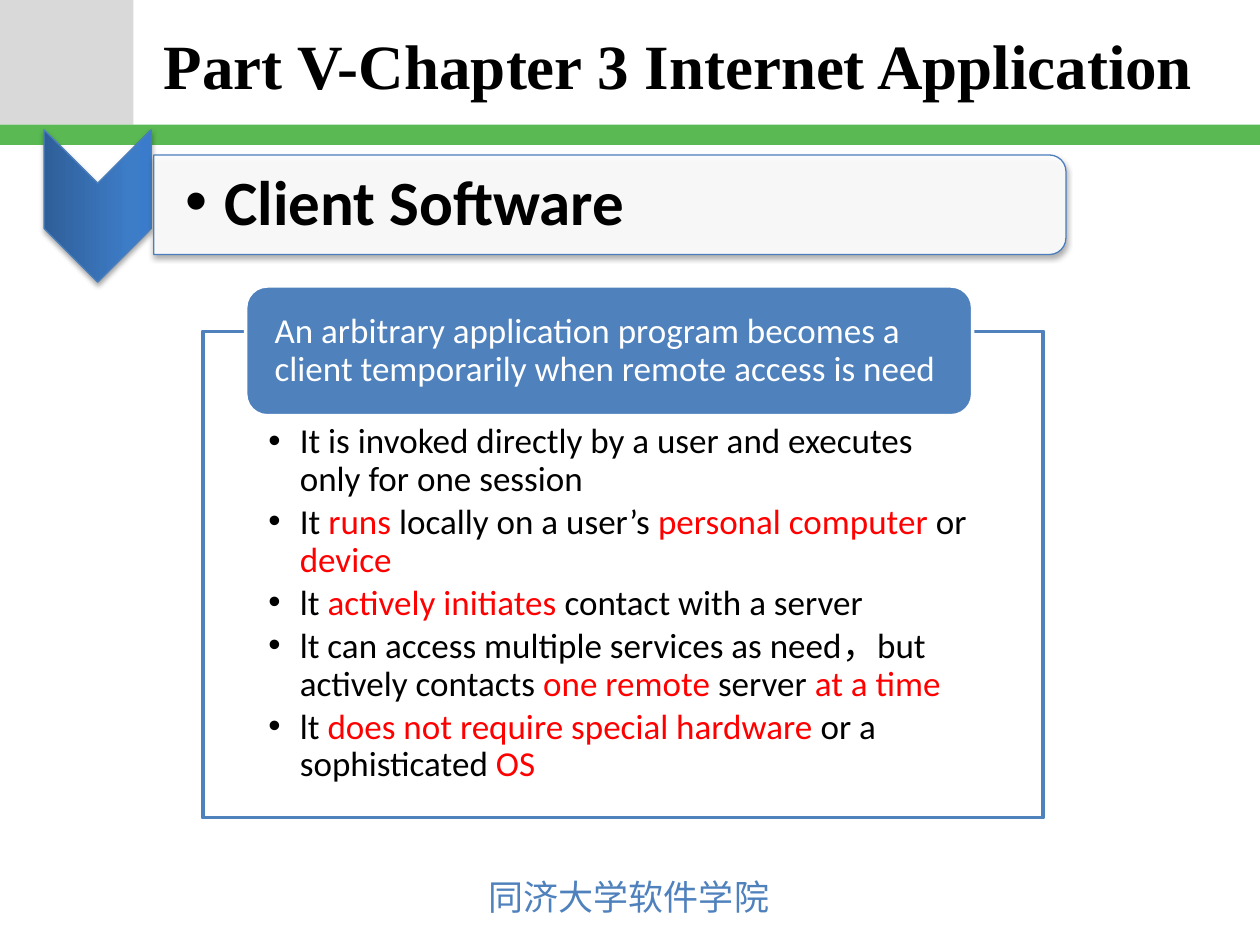
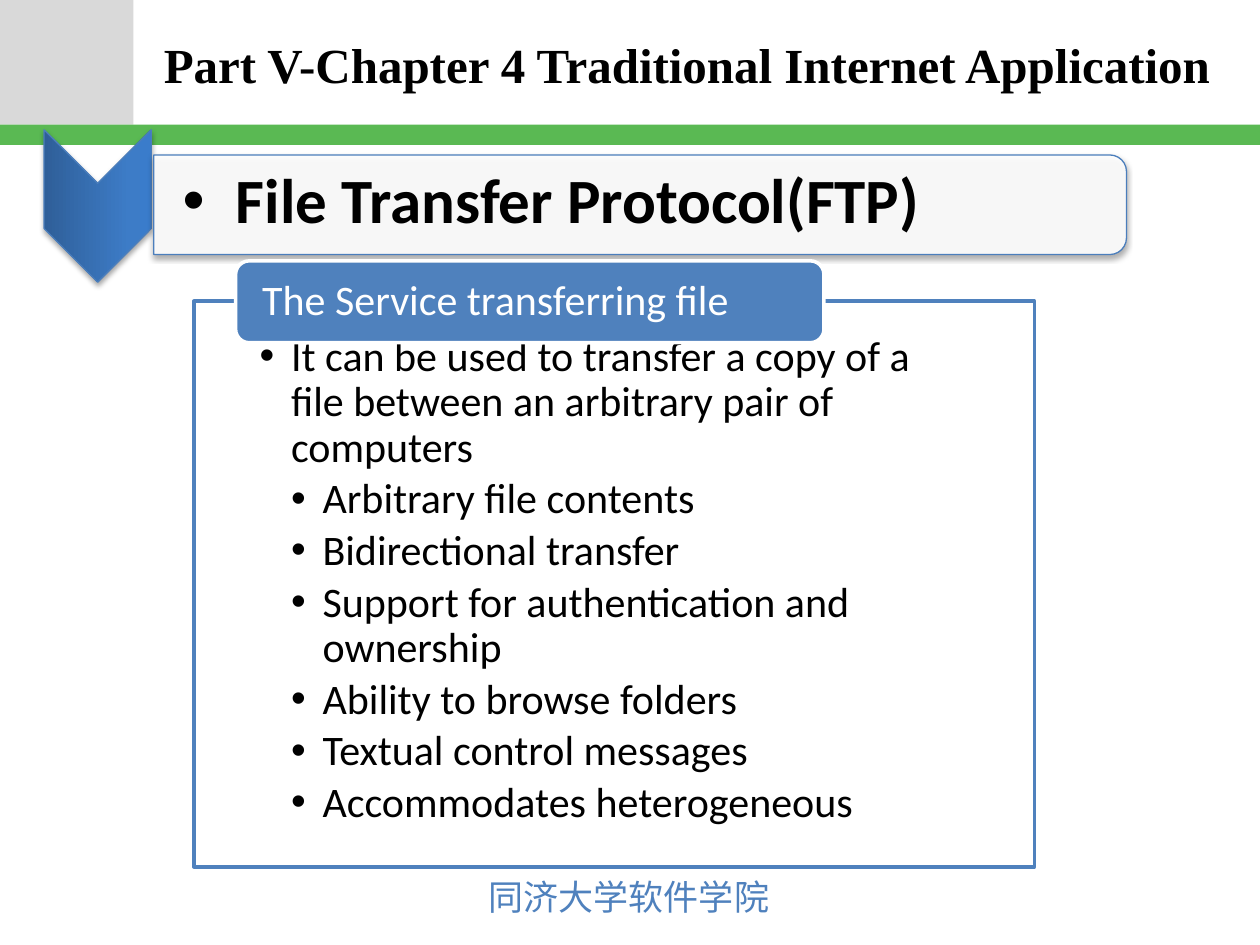
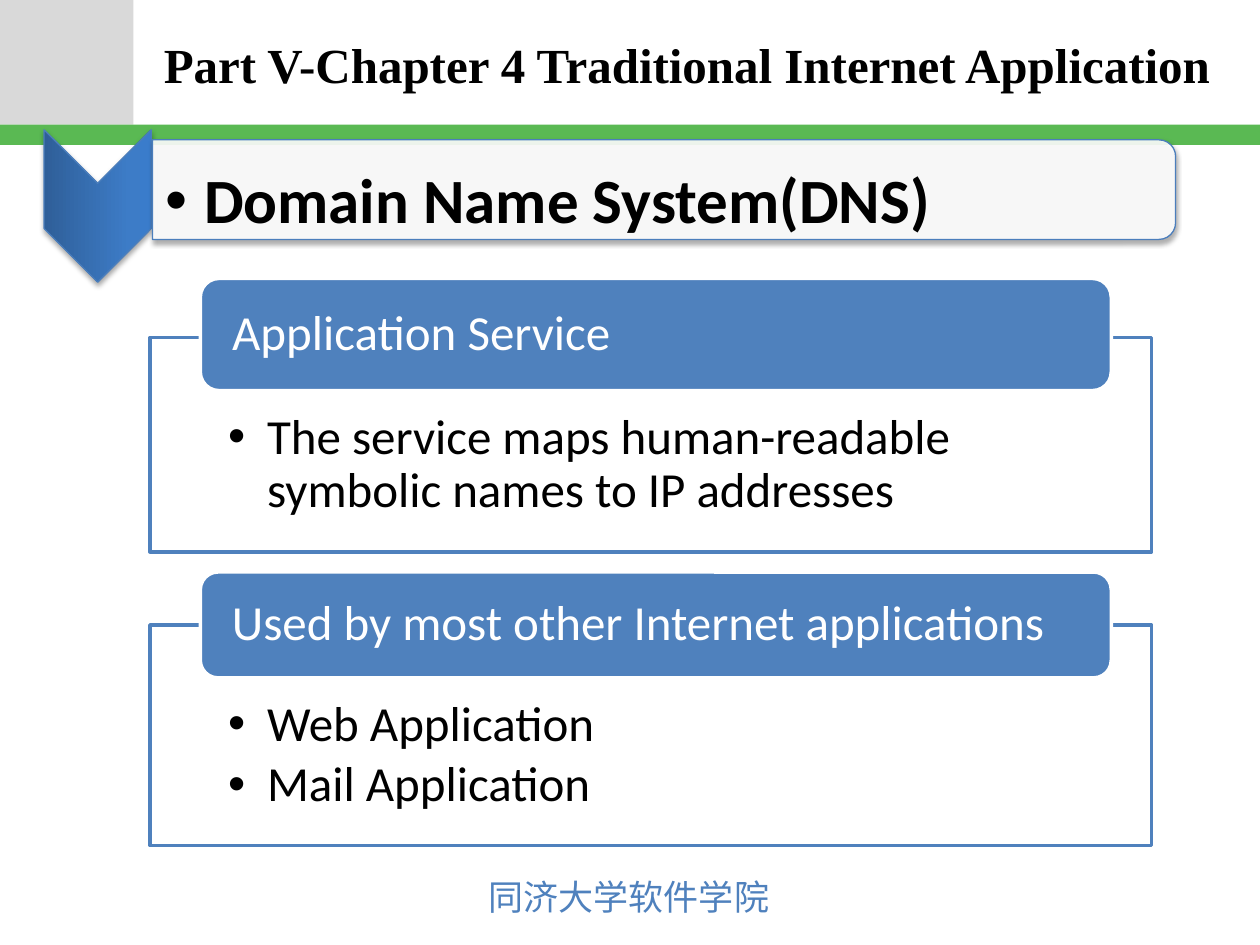
"""Build three course slides on Internet applications."""
from dataclasses import dataclass
from typing import NamedTuple

from lxml import etree
from pptx import Presentation
from pptx import util as u
from pptx.dml import color
from pptx.enum import shapes, text
from pptx.oxml import ns

HUES = {
    "gray": "D9D9D9", "green": "5AB953", "blue": "4F81BD", "edge": "4B7EBC",
    "white": "FFFFFF", "black": "000000", "red": "FF0000",
    "deep": "2F5F99", "mid": "3D7CC7", "light": "3A7CCB",
}
BODY, SERIF, HAN = "Calibri", "Times New Roman", "Noto Sans CJK JP"
KIND = shapes.MSO_SHAPE


class Box(NamedTuple):
    x: float
    y: float
    w: float
    h: float


class Run(NamedTuple):
    text: str
    ink: str = "black"
    bold: bool = False


class Para(NamedTuple):
    runs: tuple[Run, ...]
    depth: int = 1


@dataclass
class Panel:
    box: Box
    tab: Box
    head: str
    paras: list[Para]
    size: int
    top: float


@dataclass
class Page:
    title: str
    size: int
    bar: Box
    label: Box
    topic: tuple[Run, ...]
    panels: list[Panel]


def rgb(name: str) -> color.RGBColor:
    return color.RGBColor.from_string(HUES[name])


def dims(box: Box) -> list[u.Length]:
    return [u.Inches(part) for part in box]


def node(root, tag: str, **attrs):
    return etree.SubElement(root, ns.qn(tag), {k: str(v) for k, v in attrs.items()})


def draw(slide, kind, box: Box, fill: str, line: str = "", width: float = 0, alpha: int = 100):
    shape = slide.shapes.add_shape(kind, *dims(box))
    shape.shadow.inherit = False
    shape.fill.solid()
    shape.fill.fore_color.rgb = rgb(fill)
    if alpha < 100:
        node(shape.element.spPr.find(".//" + ns.qn("a:srgbClr")), "a:alpha", val=alpha * 1000)
    if line:
        shape.line.color.rgb = rgb(line)
        shape.line.width = u.Pt(width)
    else:
        shape.line.fill.background()
    return shape


def turn(slide, kind, box: Box, fill: str, alpha: int = 100):
    """Draw a shadowed shape turned a quarter so that it covers the given box."""
    x, y, w, h = box
    flat = Box(x + (w - h) / 2, y + (h - w) / 2, h, w)
    shape = draw(slide, kind, flat, fill, "edge", 0.75, alpha)
    shape.rotation = 90
    glow = node(shape.element.spPr.find(ns.qn("a:effectLst")), "a:outerShdw",
                blurRad=u.Pt(3.1), dist=u.Pt(1.8), dir=5400000, rotWithShape=0)
    node(node(glow, "a:srgbClr", val=HUES["black"]), "a:alpha", val=35000)
    return shape


def setup(shape, pads: tuple[float, ...], anchor=text.MSO_ANCHOR.MIDDLE):
    frame = shape.text_frame
    frame.word_wrap = True
    frame.auto_size = text.MSO_AUTO_SIZE.NONE
    frame.vertical_anchor = anchor
    (frame.margin_left, frame.margin_top,
     frame.margin_right, frame.margin_bottom) = [u.Inches(pad) for pad in pads]
    return frame


def write(para, runs: tuple[Run, ...], size: int, font: str = BODY) -> None:
    para.alignment = text.PP_ALIGN.LEFT
    for part in runs:
        run = para.add_run()
        run.text = part.text
        run.font.size = u.Pt(size)
        run.font.name = font
        run.font.bold = part.bold
        run.font.color.rgb = rgb(part.ink)


def space(para, size: int, after: float) -> None:
    para.line_spacing = 0.9
    para.space_after = u.Pt(round(size * after, 2))


def fill_list(frame, paras: list[Para], size: int) -> None:
    hang = 0.31 if size >= 28 else 0.25
    for i, item in enumerate(paras):
        para = frame.add_paragraph() if i else frame.paragraphs[0]
        para.level = item.depth
        space(para, size, 0.15)
        props = para._p.get_or_add_pPr()
        props.set("marL", str(u.Inches(hang * item.depth)))
        props.set("indent", str(-u.Inches(hang)))
        node(props, "a:buFont", typeface="Arial")
        node(props, "a:buChar", char="•")
        write(para, item.runs, size)


def add_panel(slide, panel: Panel) -> None:
    big = panel.size >= 28
    side, pad = (0.62, 0.21) if big else (0.52, 0.18)
    body = draw(slide, KIND.RECTANGLE, panel.box, "white", "blue", 2, 90)
    frame = setup(body, (side, panel.top, side, 0.16), text.MSO_ANCHOR.TOP)
    fill_list(frame, panel.paras, panel.size)
    tab = draw(slide, KIND.ROUNDED_RECTANGLE, panel.tab, "blue", "white", 2)
    para = setup(tab, (pad, 0, pad, 0)).paragraphs[0]
    space(para, panel.size, 0.35)
    write(para, (Run(panel.head, "white"),), panel.size)


def add_arrow(slide) -> None:
    arrow = turn(slide, KIND.CHEVRON, Box(0.35, 1.03, 0.85, 1.21), "mid")
    arrow.fill.gradient()
    arrow.fill.gradient_angle = 90
    stops = arrow.element.spPr.find(".//" + ns.qn("a:gsLst"))
    stops.clear()
    for pos, name in ((0, "deep"), (80, "mid"), (100, "light")):
        node(node(stops, "a:gs", pos=pos * 1000), "a:srgbClr", val=HUES[name])


def add_page(deck, layout, page: Page):
    slide = deck.slides.add_slide(layout)
    title = slide.shapes.title
    title.left, title.top, title.width, title.height = dims(Box(1.2, 0.02, 8.6, 0.98))
    frame = setup(title, (0.1, 0.05, 0.1, 0.05))
    write(frame.paragraphs[0], (Run(page.title, bold=True),), page.size, SERIF)
    add_arrow(slide)
    turn(slide, KIND.ROUND_2_SAME_RECTANGLE, page.bar, "white", 90)
    label = slide.shapes.add_textbox(*dims(page.label))
    fill_list(setup(label, (0.25, 0.02, 0.02, 0.02)), [Para(page.topic)], 36)
    for panel in page.panels:
        add_panel(slide, panel)
    return slide


def add_frame(slide, layout) -> None:
    """Draw the shared bands and footer, then hand them to the layout."""
    block = draw(slide, KIND.RECTANGLE, Box(0, 0, 1.06, 0.99), "gray")
    band = draw(slide, KIND.RECTANGLE, Box(0, 0.99, 10, 0.16), "green")
    foot = slide.shapes.add_textbox(*dims(Box(3.78, 6.9, 2.45, 0.44)))
    foot.text_frame.word_wrap = False
    write(foot.text_frame.paragraphs[0], (Run("同济大学软件学院", "blue"),), 20, HAN)
    for props in foot.element.iter(ns.qn("a:rPr")):
        node(props, "a:ea", typeface=HAN)
    for shape in (block, band, foot):
        layout.shapes.element.append(shape.element)


def plain(*lines: str, depth: int = 1) -> list[Para]:
    return [Para((Run(line),), depth) for line in lines]


def mixed(*parts: str) -> Para:
    """Make a paragraph whose parts alternate between black and red."""
    return Para(tuple(Run(part, ("black", "red")[i % 2]) for i, part in enumerate(parts)))


CLIENT = plain("It is invoked directly by a user and executes only for one session") + [
    mixed("It ", "runs", " locally on a user’s ", "personal computer ", "or ", "device"),
    mixed("lt ", "actively initiates ", "contact with a server"),
    mixed("lt can access multiple services as need，but actively contacts ",
          "one remote ", "server ", "at a time"),
    mixed("lt ", "does not require special hardware", " or a sophisticated ", "OS"),
]
FTP = plain("It can be used to transfer a copy of a file between an arbitrary "
            "pair of computers") + plain(
    "Arbitrary file contents", "Bidirectional transfer",
    "Support for authentication and ownership", "Ability to browse folders",
    "Textual control messages", "Accommodates heterogeneous", depth=2)
FOUR = "Part V-Chapter 4 Traditional Internet Application"

PAGES = [
    Page("Part V-Chapter 3 Internet Application", 36,
         Box(1.22, 1.23, 7.24, 0.79), Box(1.22, 1.27, 7.21, 0.71),
         (Run("Client Software", bold=True),),
         [Panel(Box(1.61, 2.63, 6.67, 3.86), Box(1.95, 2.27, 5.77, 1.03),
                "An arbitrary application program becomes a client temporarily "
                "when remote access is need", CLIENT, 20, 0.73)]),
    Page(FOUR, 28, Box(1.22, 1.23, 7.72, 0.79), Box(1.2, 1.26, 7.68, 0.71),
         (Run(" "), Run("File Transfer Protocol(FTP)", bold=True)),
         [Panel(Box(1.54, 2.39, 6.67, 4.49), Box(1.87, 2.07, 4.67, 0.65),
                "The Service transferring file", FTP, 24, 0.27)]),
    Page(FOUR, 28, Box(1.21, 1.11, 8.12, 0.79), Box(1.06, 1.26, 8.08, 0.71),
         (Run("Domain Name System(DNS)", bold=True),),
         [Panel(Box(1.19, 2.68, 7.95, 1.7), Box(1.59, 2.21, 7.23, 0.89),
                "Application Service",
                plain("The service maps human-readable symbolic names to IP addresses"),
                28, 0.59),
          Panel(Box(1.19, 4.96, 7.95, 1.75), Box(1.59, 4.54, 7.23, 0.84),
                "Used by most other Internet applications",
                plain("Web Application", "Mail Application"), 28, 0.59)]),
]


def main() -> None:
    deck = Presentation()
    deck.slide_width, deck.slide_height = u.Inches(10), u.Inches(7.5)
    layout = deck.slide_layouts[5]
    slides = [add_page(deck, layout, page) for page in PAGES]
    add_frame(slides[0], layout)
    deck.save("out.pptx")


if __name__ == "__main__":
    main()
